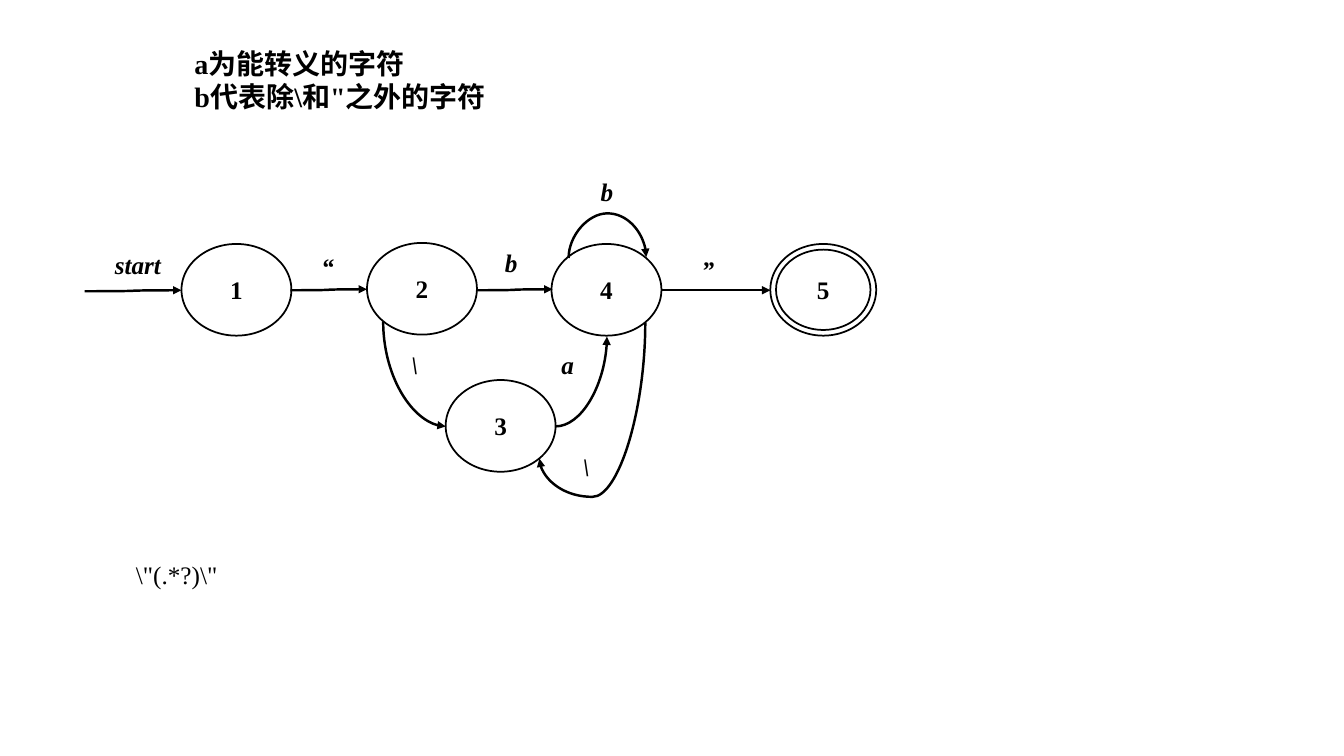
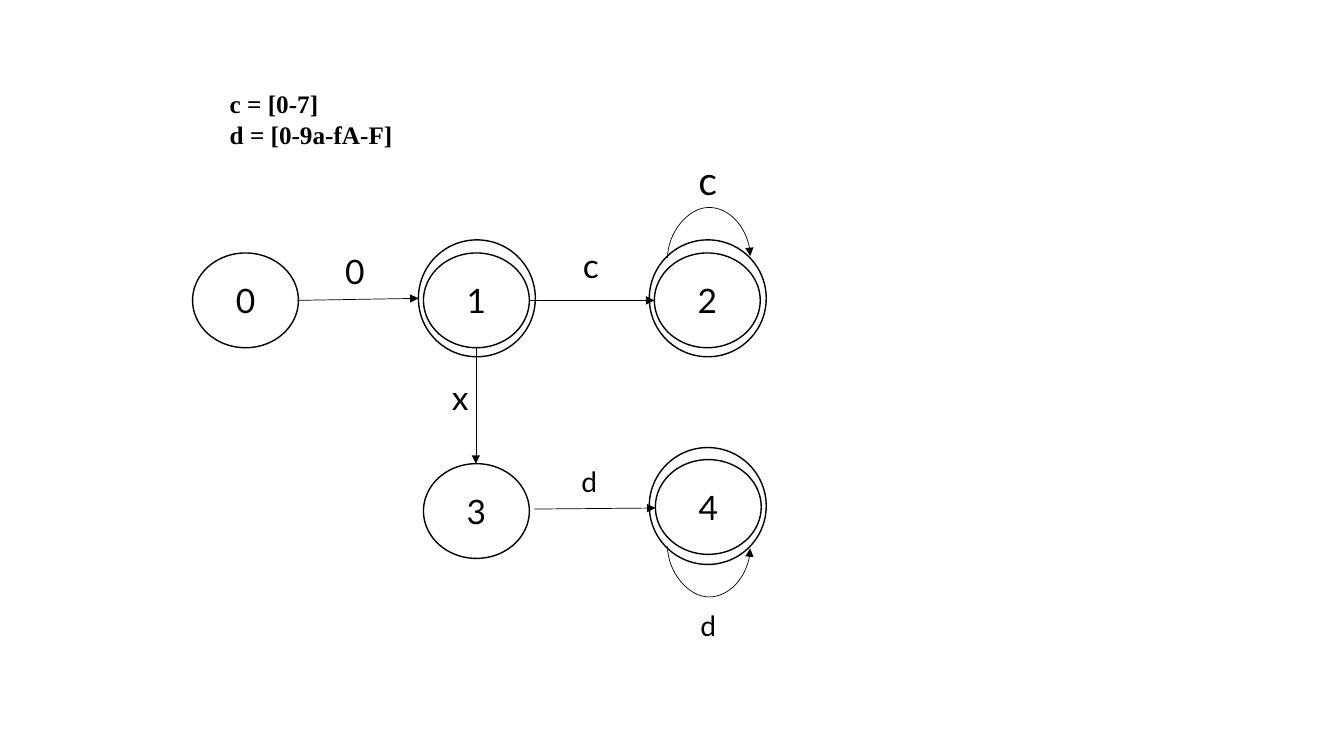
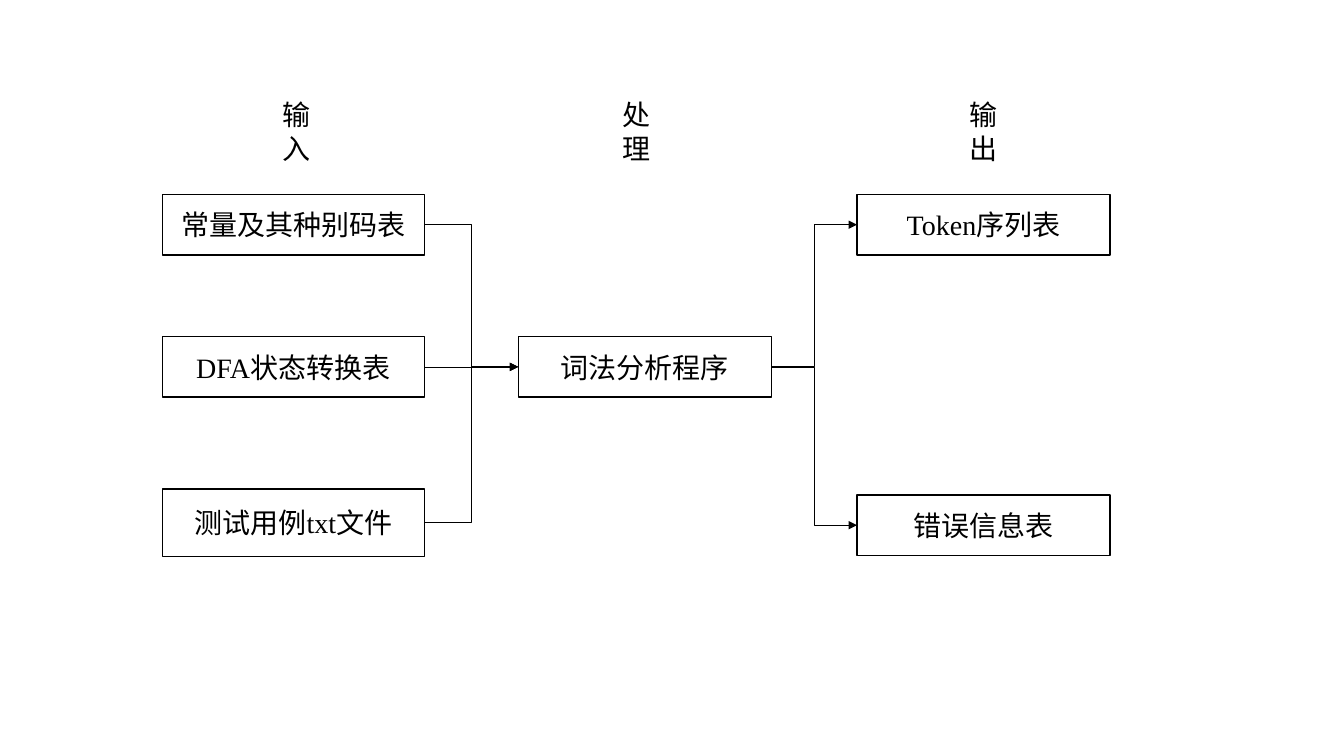
from dataclasses import dataclass

from lxml import etree
from pptx import Presentation
from pptx.dml.color import RGBColor
from pptx.enum.shapes import MSO_CONNECTOR, MSO_SHAPE
from pptx.enum.text import MSO_ANCHOR, PP_ALIGN
from pptx.oxml.ns import qn
from pptx.shapes.autoshape import Shape
from pptx.slide import Slide
from pptx.text.text import TextFrame
from pptx.util import Emu, Pt

PX = 9144  # EMU per px, 100 px to the inch
BLACK = RGBColor(0x00, 0x00, 0x00)
WHITE = RGBColor(0xFF, 0xFF, 0xFF)
SERIF = "Times New Roman"
SANS = "Lato"
CJK = "Noto Sans CJK SC"
STRAIGHT = MSO_CONNECTOR.STRAIGHT
CURVE = MSO_CONNECTOR.CURVE
ELBOW = MSO_CONNECTOR.ELBOW
ELLIPSE = MSO_SHAPE.OVAL
DONUT = MSO_SHAPE.DONUT
CIRCLE = MSO_SHAPE.FLOWCHART_CONNECTOR
RECTANGLE = MSO_SHAPE.RECTANGLE
LEFT = PP_ALIGN.LEFT
CENTER = PP_ALIGN.CENTER
JUSTIFY = PP_ALIGN.JUSTIFY
MIDDLE = MSO_ANCHOR.MIDDLE
NOTE_INDENT = 29


@dataclass(frozen=True)
class TextStyle:
    font: str
    size: int
    bold: bool = False
    italic: bool = False
    align: PP_ALIGN = LEFT
    indent: int = 0


@dataclass(frozen=True)
class Box:
    left: int
    top: int
    width: int
    height: int
    text: str = ""

    @property
    def right(self) -> int:
        return self.left + self.width

    @property
    def middle(self) -> int:
        return self.top + self.height // 2


@dataclass(frozen=True)
class Label:
    box: Box
    style: TextStyle
    wrap: bool = True


@dataclass(frozen=True)
class Arrow:
    """A turn rotates the connector's frame; bulge is how far a loop swings out."""

    start: tuple[int, int]
    end: tuple[int, int]
    kind: MSO_CONNECTOR = CURVE
    turn: int = 0
    bulge: int = 0
    preset: str = ""


STATE_SERIF = TextStyle(SERIF, 18, bold=True, align=CENTER)
EDGE_SERIF = TextStyle(SERIF, 18, bold=True, italic=True)
STATE_SANS = TextStyle(SANS, 24, align=CENTER)
EDGE_SMALL = TextStyle(SANS, 20, align=CENTER)
EDGE_LARGE = TextStyle(SANS, 28, align=CENTER)
BOX_TEXT = TextStyle(SERIF, 20, align=CENTER)
HEADING = TextStyle(CJK, 20)


def px(length: int) -> Emu:
    return Emu(length * PX)


def write_text(frame: TextFrame, text: str, style: TextStyle) -> None:
    frame.text = text
    for paragraph in frame.paragraphs:
        paragraph.alignment = style.align
        font = paragraph.font
        font.name = style.font
        font.size = Pt(style.size)
        font.bold = style.bold
        font.italic = style.italic
        font.color.rgb = BLACK
        properties = paragraph._p.get_or_add_pPr()
        if style.font == CJK:
            defaults = properties.find(qn("a:defRPr"))
            etree.SubElement(defaults, qn("a:ea"), typeface=CJK)
        if style.indent:
            properties.set("marL", str(px(style.indent)))
            properties.set("indent", str(px(style.indent)))


def add_label(slide: Slide, label: Label) -> None:
    box = label.box
    text_box = slide.shapes.add_textbox(px(box.left), px(box.top), px(box.width), px(box.height))
    text_box.text_frame.word_wrap = label.wrap
    write_text(text_box.text_frame, box.text, label.style)


def add_outline(slide: Slide, kind: MSO_SHAPE, box: Box, style: TextStyle, line: float) -> Shape:
    """Draw a white shape with a black outline and centred text."""
    shape = slide.shapes.add_shape(kind, px(box.left), px(box.top), px(box.width), px(box.height))
    shape.shadow.inherit = False
    shape.fill.solid()
    shape.fill.fore_color.rgb = WHITE
    shape.line.color.rgb = BLACK
    shape.line.width = Pt(line)
    if box.text:
        shape.text_frame.vertical_anchor = MIDDLE
        write_text(shape.text_frame, box.text, style)
    return shape


def add_arrow(slide: Slide, arrow: Arrow, width: float) -> None:
    (x1, y1), (x2, y2) = arrow.start, arrow.end
    across, down = x2 - x1, y2 - y1
    run, rise = {0: (across, down), 90: (down, -across), 270: (-down, across)}[arrow.turn]
    ends = (x1 + x2 - run, y1 + y2 - rise, x1 + x2 + run, y1 + y2 + rise)
    connector = slide.shapes.add_connector(arrow.kind, *(Emu(end * PX // 2) for end in ends))
    connector.line.color.rgb = BLACK
    connector.line.width = Pt(width)
    properties = connector._element.spPr
    if arrow.turn:
        properties.find(qn("a:xfrm")).set("rot", str(arrow.turn * 60000))
    geometry = properties.find(qn("a:prstGeom"))
    if arrow.preset:
        geometry.set("prst", arrow.preset)
    if arrow.bulge:
        ratio = round(arrow.bulge / abs(run) * 100000)
        guides = geometry.find(qn("a:avLst"))
        etree.SubElement(guides, qn("a:gd"), name="adj1", fmla=f"val {ratio}")
    etree.SubElement(properties.find(qn("a:ln")), qn("a:tailEnd"), type="triangle")
    etree.SubElement(properties, qn("a:effectLst"))


def build_string_automaton(slide: Slide) -> None:
    states = [
        (180, 242, "1"),
        (364, 241, "2"),
        (442, 377, "3"),
        (547, 242, "4"),
    ]
    for left, top, name in states:
        add_outline(slide, ELLIPSE, Box(left, top, 109, 91, name), STATE_SERIF, 1.25)
    final_state = add_outline(slide, DONUT, Box(764, 242, 105, 91, "5"), STATE_SERIF, 1.25)
    final_state.adjustments[0] = 0.062

    arrows = [
        Arrow((84, 289), (180, 288)),
        Arrow((288, 288), (364, 287)),
        Arrow((473, 288), (548, 287)),
        Arrow((656, 288), (764, 288)),
        Arrow((564, 256), (641, 255), turn=90, bulge=45),
        Arrow((380, 319), (442, 423), turn=270, preset="curvedConnector2"),
        Arrow((551, 423), (602, 334), preset="curvedConnector2"),
        Arrow((640, 320), (535, 455), turn=90, bulge=173),
    ]
    for arrow in arrows:
        add_arrow(slide, arrow, 1.75)

    edge_names = [
        Box(104, 242, 119, 40, "start"),
        Box(309, 244, 34, 40, "“"),
        Box(491, 240, 21, 41, "b"),
        Box(686, 247, 41, 40, "”"),
        Box(398, 342, 21, 41, "\\"),
        Box(547, 342, 21, 41, "a"),
        Box(568, 443, 21, 41, "\\"),
    ]
    for box in edge_names:
        add_label(slide, Label(box, EDGE_SERIF))
    add_label(slide, Label(Box(586, 170, 33, 40, "b"), EDGE_SERIF, wrap=False))

    note = TextStyle(SERIF, 20, bold=True, align=JUSTIFY, indent=NOTE_INDENT)
    add_label(slide, Label(Box(125, 41, 391, 77, "a为能转义的字符\nb代表除\\和\"之外的字符"), note))
    pattern = Box(125, 550, 102, 40, "\\\"(.*?)\\\"")
    add_label(slide, Label(pattern, TextStyle(SERIF, 18), wrap=False))


def build_number_automaton(slide: Slide) -> None:
    for left, top in [(415, 238), (644, 238), (644, 444)]:
        add_outline(slide, CIRCLE, Box(left, top, 116, 116), STATE_SANS, 1)
    states = [
        (191, 251, "0"),
        (420, 251, "1"),
        (649, 251, "2"),
        (420, 460, "3"),
        (650, 456, "4"),
    ]
    for left, top, name in states:
        add_outline(slide, CIRCLE, Box(left, top, 105, 94, name), STATE_SANS, 1)

    arrows = [
        Arrow((295, 298), (415, 296), STRAIGHT),
        Arrow((472, 345), (472, 460), STRAIGHT),
        Arrow((525, 298), (649, 298), STRAIGHT),
        Arrow((530, 505), (650, 504), STRAIGHT),
        Arrow((662, 256), (744, 254), turn=90, bulge=50),
        Arrow((662, 542), (744, 544), turn=270, bulge=50),
    ]
    for arrow in arrows:
        add_arrow(slide, arrow, 0.5)

    note = TextStyle(SERIF, 18, bold=True, align=JUSTIFY, indent=NOTE_INDENT)
    labels = [
        Label(Box(315, 244, 74, 50, "0"), STATE_SANS),
        Label(Box(420, 369, 73, 50, "x"), STATE_SANS),
        Label(Box(549, 238, 74, 50, "c"), STATE_SANS),
        Label(Box(665, 150, 74, 57, "c"), EDGE_LARGE),
        Label(Box(535, 456, 99, 44, "d"), EDGE_SMALL),
        Label(Box(653, 599, 99, 44, "d"), EDGE_SMALL),
        Label(Box(160, 83, 667, 71, "c = [0-7]\nd = [0-9a-fA-F]"), note),
    ]
    for label in labels:
        add_label(slide, label)


def build_analyser_flow(slide: Slide) -> None:
    for left, width, text in [(270, 52, "输入"), (608, 59, "处理"), (952, 47, "输出")]:
        add_label(slide, Label(Box(left, 92, width, 77, text), HEADING))

    inputs = [
        Box(161, 193, 260, 60, "常量及其种别码表"),
        Box(161, 334, 260, 60, "DFA状态转换表"),
        Box(161, 485, 260, 67, "测试用例txt文件"),
    ]
    program = Box(514, 334, 251, 60, "词法分析程序")
    outputs = [
        Box(850, 193, 251, 60, "Token序列表"),
        Box(850, 491, 251, 60, "错误信息表"),
    ]
    for box in [*inputs, program, *outputs]:
        add_outline(slide, RECTANGLE, box, BOX_TEXT, 1)

    links = [(source, program) for source in inputs] + [(program, result) for result in outputs]
    for source, target in links:
        start, end = (source.right, source.middle), (target.left, target.middle)
        add_arrow(slide, Arrow(start, end, ELBOW), 0.5)


def main() -> None:
    presentation = Presentation()
    presentation.slide_width = px(1333)
    presentation.slide_height = px(750)
    blank = presentation.slide_layouts[6]
    for build in (build_string_automaton, build_number_automaton, build_analyser_flow):
        build(presentation.slides.add_slide(blank))
    presentation.save("out.pptx")


if __name__ == "__main__":
    main()
